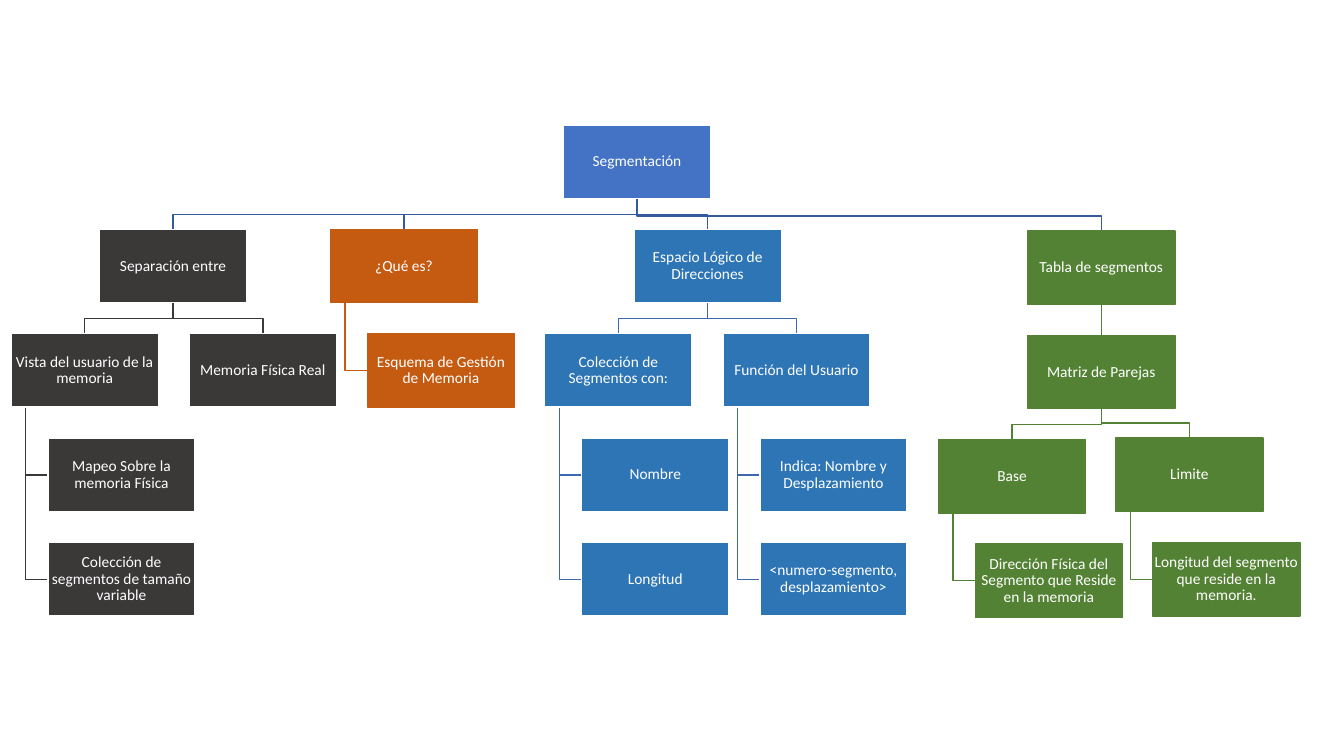
from lxml import etree
from pptx import Presentation
from pptx import util as u
from pptx.dml.color import RGBColor
from pptx.enum import shapes, text

BOX_W, BOX_H = 3.71, 1.85
TOP, ROW_STEP = 3.15, 2.63
INDENT = 0.93  # shift of a hanging box from its parent
STEM = 0.37  # left edge of the parent to the hanging line
RISE = 0.38  # crossbar to the top of the child
WHITE, ROOT, ROOT_LINE = "FFFFFF", "4472C4", "365B9D"
GRAY, ORANGE, BLUE, BLUE_LINE, GREEN = "3B3838", "C55A11", "2E75B6", "3E67B2", "548235"


def rgb(value):
    return RGBColor.from_string(value)


def style_line(sp, color):
    sp.line.color.rgb = rgb(color)
    sp.line.width = u.Pt(1)


# text, parent, row, left (None hangs below the parent), nudge, fill, border, link colour
rows = [
    ("Segmentación", None, 0, 14.2, 0, ROOT, WHITE, None),
    ("Separación entre", "Segmentación", 1, 2.51, 0, GRAY, WHITE, ROOT_LINE),
    ("Vista del usuario de la memoria", "Separación entre", 2, 0.28, 0, GRAY, WHITE, GRAY),
    ("Mapeo Sobre la memoria Física", "Vista del usuario de la memoria", 3, None, 0, GRAY, WHITE, GRAY),
    ("Colección de segmentos de tamaño variable", "Vista del usuario de la memoria", 4, None, 0, GRAY, WHITE, GRAY),
    ("Memoria Física Real", "Separación entre", 2, 4.77, 0, GRAY, WHITE, GRAY),
    ("¿Qué es?", "Segmentación", 1, 8.33, 0, ORANGE, ORANGE, ROOT_LINE),
    ("Esquema de Gestión de Memoria", "¿Qué es?", 2, None, 0, ORANGE, ORANGE, ORANGE),
    ("Espacio Lógico de Direcciones", "Segmentación", 1, 15.98, 0, BLUE, WHITE, ROOT_LINE),
    ("Colección de Segmentos con:", "Espacio Lógico de Direcciones", 2, 13.73, 0, BLUE, WHITE, BLUE_LINE),
    ("Nombre", "Colección de Segmentos con:", 3, None, 0, BLUE, WHITE, BLUE_LINE),
    ("Longitud", "Colección de Segmentos con:", 4, None, 0, BLUE, WHITE, BLUE_LINE),
    ("Función del Usuario", "Espacio Lógico de Direcciones", 2, 18.22, 0, BLUE, WHITE, BLUE_LINE),
    ("Indica: Nombre y Desplazamiento", "Función del Usuario", 3, None, 0, BLUE, WHITE, BLUE_LINE),
    ("<numero-segmento, desplazamiento>", "Función del Usuario", 4, None, 0, BLUE, WHITE, BLUE_LINE),
    ("Tabla de segmentos", "Segmentación", 1, 25.9, 0.04, GREEN, GREEN, ROOT_LINE),
    ("Matriz de Parejas", "Tabla de segmentos", 2, 25.9, 0.04, GREEN, GREEN, GREEN),
    ("Base", "Matriz de Parejas", 3, 23.65, 0.04, GREEN, GREEN, GREEN),
    ("Dirección Física del Segmento que Reside en la memoria", "Base", 4, None, 0.04, GREEN, GREEN, GREEN),
    ("Limite", "Matriz de Parejas", 3, 28.12, 0, GREEN, GREEN, GREEN),
    ("Longitud del segmento que reside en la memoria.", "Limite", 4, None, 0, GREEN, GREEN, GREEN),
]

prs = Presentation()
prs.slide_width, prs.slide_height = u.Cm(33.87), u.Cm(19.05)
s = prs.slides.add_slide(prs.slide_layouts[6])

# Places of all boxes
places = {}
for label, parent, row, left, nudge, *colors in rows:
    x = places[parent][0] + INDENT if left is None else left
    places[label] = (x, TOP + row * ROW_STEP + nudge)

# Bent links, behind the boxes
straight = []
for label, parent, row, left, nudge, fill, border, link in reversed(rows):
    if parent is None:
        continue
    (px, py), (x, y) = places[parent], places[label]
    if px == x:
        straight.append((parent, label, link))
        continue
    bottom = py + BOX_H
    if left is None:
        middle = y + BOX_H / 2
        points = [(px + STEM, bottom), (px + STEM, middle), (x, middle)]
    else:
        start, end = px + BOX_W / 2, x + BOX_W / 2
        points = [(start, bottom), (start, y - RISE), (end, y - RISE), (end, y)]
    points = [(u.Cm(a), u.Cm(b)) for a, b in points]
    outline = s.shapes.build_freeform(*points[0])
    outline.add_line_segments(points[1:], close=False)
    sp = outline.convert_to_shape()
    sp.shadow.inherit = False
    sp.fill.background()
    style_line(sp, link)

# Boxes
boxes = {}
for label, parent, row, left, nudge, fill, border, link in rows:
    x, y = places[label]
    sp = s.shapes.add_shape(shapes.MSO_SHAPE.RECTANGLE, u.Cm(x), u.Cm(y), u.Cm(BOX_W), u.Cm(BOX_H))
    boxes[label] = sp
    sp.shadow.inherit = False
    sp.fill.solid()
    sp.fill.fore_color.rgb = rgb(fill)
    style_line(sp, border)
    tf = sp.text_frame
    tf.word_wrap = True
    tf.vertical_anchor = text.MSO_ANCHOR.MIDDLE
    tf.margin_left = tf.margin_right = tf.margin_top = tf.margin_bottom = u.Cm(0.02)
    p = tf.paragraphs[0]
    p.alignment = text.PP_ALIGN.CENTER
    p.line_spacing = 0.9
    r = p.add_run()
    r.text = label
    r.font.name = "Calibri"
    r.font.size = u.Pt(11)
    r.font.color.rgb = rgb(WHITE)

# Straight links, joined to the boxes
for parent, label, link in straight:
    cx = s.shapes.add_connector(shapes.MSO_CONNECTOR.STRAIGHT, 0, 0, 0, 0)
    cx.begin_connect(boxes[parent], 2)
    cx.end_connect(boxes[label], 0)
    style_line(cx, link)
    etree.SubElement(cx.line._ln.getparent(), "{http://schemas.openxmlformats.org/drawingml/2006/main}effectLst")

prs.save("out.pptx")
